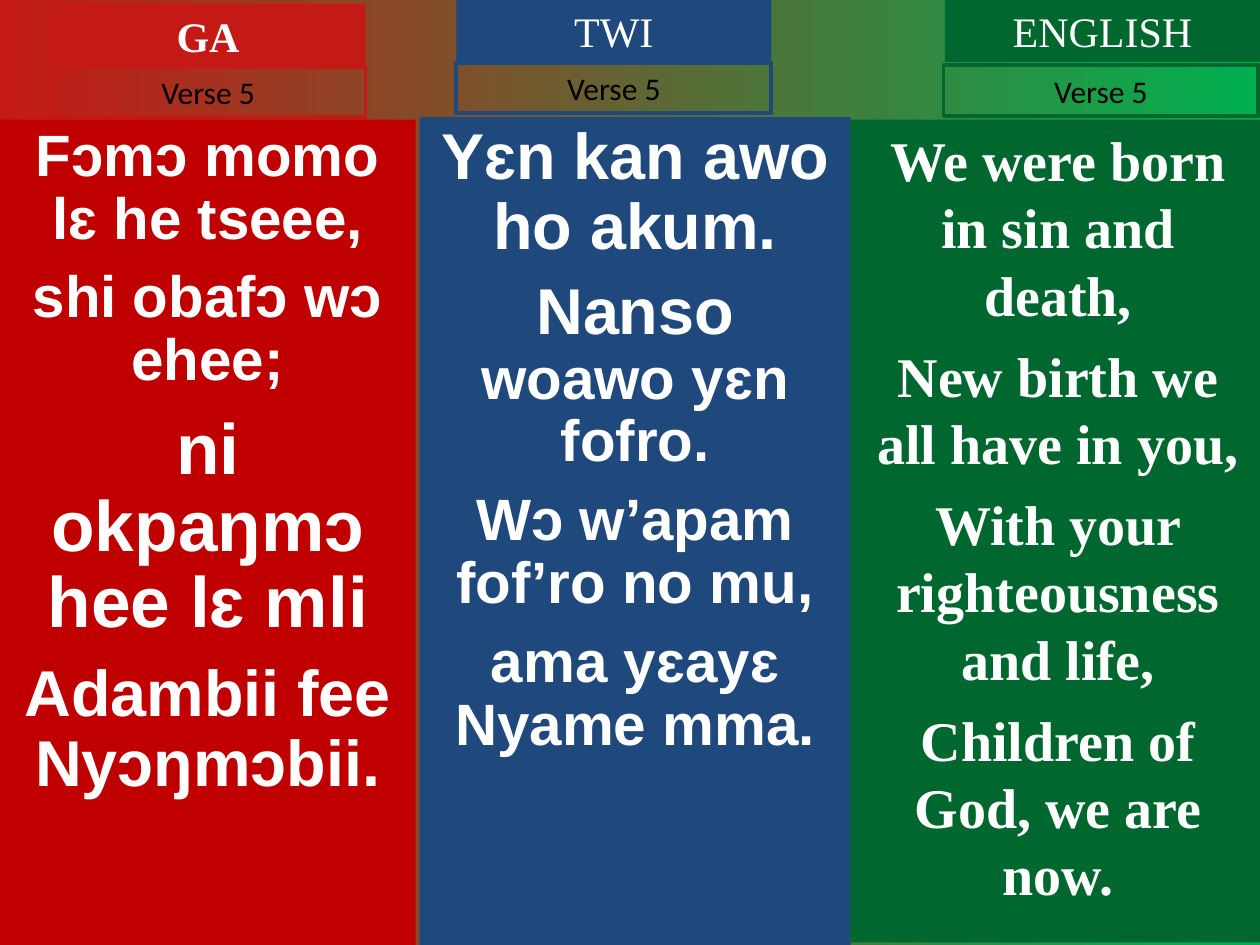
from dataclasses import dataclass

from pptx import Presentation
from pptx.dml.color import RGBColor
from pptx.enum import shapes, text
from pptx.oxml import ns
from pptx.util import Cm, Pt

INCH = 2.54
WHITE, BLACK = "FFFFFF", "000000"
HEAD_WIDTH, HEAD_HEIGHT, VERSE_HEIGHT = 2.5 * INCH, 0.5 * INCH, 0.4 * INCH


@dataclass
class Run:
    words: str
    size: float
    font: str
    color: str = WHITE
    bold: bool = False


@dataclass
class Line:
    runs: list[Run]
    before: float = 0
    spacing: float = 1.0


@dataclass
class Box:
    """A rectangle in centimetres, filled or outlined."""
    left: float
    top: float
    width: float
    height: float
    fill: str | None = None
    outline: str | None = None


@dataclass
class Language:
    name: str
    name_bold: bool
    color: str
    head_color: str
    head_at: tuple[float, float]
    verse_at: tuple[float, float]
    panel: Box
    lyrics: list[Line]


def rgb(color: str) -> RGBColor:
    return RGBColor.from_string(color)


def lyric(*parts: tuple[str, float], font: str = "Arial",
          before: float = 9, spacing: float = 0.9) -> Line:
    return Line([Run(words, size, font, bold=True) for words, size in parts],
                before, spacing)


def english(words: str) -> Line:
    return lyric((words, 32), font="Times New Roman", before=8, spacing=1.0)


def draw_box(slide, box: Box, lines: list[Line], grow: bool = False) -> None:
    shape = slide.shapes.add_shape(
        shapes.MSO_SHAPE.RECTANGLE,
        Cm(box.left), Cm(box.top), Cm(box.width), Cm(box.height))
    shape.shadow.inherit = False
    if box.fill:
        shape.fill.solid()
        shape.fill.fore_color.rgb = rgb(box.fill)
    else:
        shape.fill.background()
    if box.outline:
        shape.line.color.rgb = rgb(box.outline)
        shape.line.width = Pt(2.25)
    else:
        shape.line.fill.background()

    frame = shape.text_frame
    frame.word_wrap = True
    frame.vertical_anchor = text.MSO_ANCHOR.TOP
    if grow:
        frame.auto_size = text.MSO_AUTO_SIZE.SHAPE_TO_FIT_TEXT
    for index, line in enumerate(lines):
        paragraph = frame.add_paragraph() if index else frame.paragraphs[0]
        paragraph.alignment = text.PP_ALIGN.CENTER
        paragraph.line_spacing = line.spacing
        paragraph.space_before = Pt(line.before if index else 0)
        for part in line.runs:
            run = paragraph.add_run()
            run.text = part.words
            run.font.name = part.font
            run.font.size = Pt(part.size)
            run.font.bold = part.bold
            run.font.color.rgb = rgb(part.color)


def draw_language(slide, language: Language) -> None:
    draw_box(slide, language.panel, language.lyrics)
    head = Box(*language.head_at, HEAD_WIDTH, HEAD_HEIGHT,
               fill=language.head_color)
    name = Run(language.name, 24, "Times New Roman", bold=language.name_bold)
    draw_box(slide, head, [Line([name])], grow=True)
    verse = Box(*language.verse_at, HEAD_WIDTH, VERSE_HEIGHT,
                outline=language.head_color)
    draw_box(slide, verse, [Line([Run("Verse 5", 18, "Calibri", BLACK)])],
             grow=True)


def paint_background(slide, start: str, end: str) -> None:
    fill = slide.background.fill
    fill.gradient()
    fill.gradient_angle = 0
    for stop, color in zip(fill.gradient_stops, (start, end)):
        stop.color.rgb = rgb(color)


LANGUAGES = [
    Language("GA", True, "C00000", "C51915", (1.02, 0.08), (1.02, 1.35),
             Box(0, 2.41, 8.38, 16.64, fill="C00000"), [
        lyric(("Fɔmɔ momo lɛ he tseee,", 33.3)),
        lyric(("shi obafɔ wɔ ehee;", 33.3)),
        lyric(("ni okpaŋmɔ hee lɛ mli", 40.7), before=11),
        lyric(("Adambii fee Nyɔŋmɔbii.", 37), before=10),
    ]),
    Language("TWI", False, "1F497D", "1F497D", (9.2, -0.02), (9.2, 1.27),
             Box(8.46, 2.36, 8.69, 16.69, fill="1F497D"), [
        lyric(("Yɛn kan awo ho akum.", 37)),
        lyric(("Nanso ", 37), ("woawo yɛn fofro.", 33.3)),
        lyric(("Wɔ w’apam fof’ro no mu,", 33.3)),
        lyric(("ama yɛayɛ Nyame mma.", 33.3)),
    ]),
    Language("ENGLISH", False, "00682F", "00682F", (19.05, -0.02), (19.02, 1.32),
             Box(17.15, 2.41, 8.36, 16.59, fill="00682F"), [
        english("We were born in sin and death,"),
        english("New birth we all have in you,"),
        english("With your righteousness and life,"),
        english("Children of God, we are now."),
    ]),
]


def main() -> None:
    deck = Presentation()
    deck.slide_width, deck.slide_height = Cm(25.4), Cm(19.05)
    slide = deck.slides.add_slide(deck.slide_layouts[6])
    paint_background(slide, "C51915", "00B050")
    for language in LANGUAGES:
        draw_language(slide, language)
    deck.save("out.pptx")


if __name__ == "__main__":
    main()
